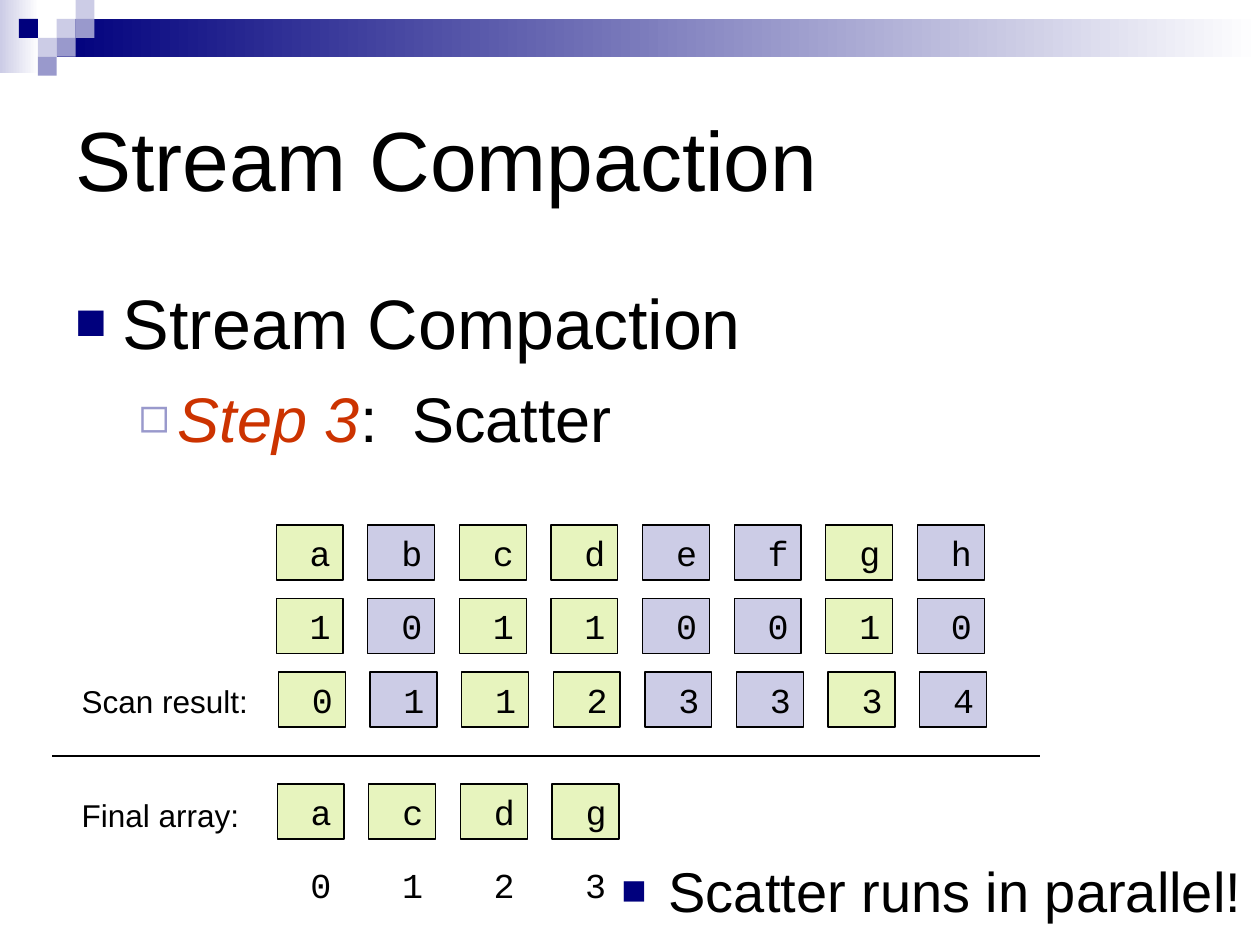
from dataclasses import dataclass

from lxml import etree
from pptx import Presentation
from pptx.dml.color import RGBColor
from pptx.enum import shapes, text
from pptx.oxml import ns
from pptx.util import Pt


@dataclass(frozen=True)
class Theme:
    navy: str = "00007D"
    mid: str = "9999CC"
    pale: str = "CCCCE6"
    kept: str = "E7F4BE"
    accent: str = "CC3300"
    ink: str = "000000"
    paper: str = "FFFFFF"
    sans: str = "Arial"
    mono: str = "Courier New"
    title: float = 48
    heading: float = 40
    step: float = 36
    note: float = 32
    cell: float = 20
    label: float = 18
    hairline: float = 0.75


THEME = Theme()
COLUMN_PITCH = 52.35
CELL_WIDTH, CELL_HEIGHT = 38.25, 31.5
PIXEL = 10.8


def rgb(value):
    return RGBColor.from_string(value)


def style(span, size, font=THEME.sans, color=THEME.ink, italic=False):
    span.font.size = Pt(size)
    span.font.name = font
    span.font.color.rgb = rgb(color)
    span.font.italic = italic


def place(box, left, top, width, height):
    box.left, box.top, box.width, box.height = map(Pt, (left, top, width, height))


def add_bullet(para, symbol, color, percent, margin, hanging):
    props = para._p.get_or_add_pPr()
    props.set("marL", str(Pt(margin)))
    props.set("indent", str(-Pt(hanging)))
    tint = etree.SubElement(props, ns.qn("a:buClr"))
    etree.SubElement(tint, ns.qn("a:srgbClr"), val=color)
    etree.SubElement(props, ns.qn("a:buSzPct"), val=str(percent * 1000))
    etree.SubElement(props, ns.qn("a:buFont"), typeface=THEME.sans)
    etree.SubElement(props, ns.qn("a:buChar"), char=symbol)


def add_square_bullet(para, space_before):
    para.space_before = Pt(space_before)
    add_bullet(para, "■", THEME.navy, 75, 27, 27)


def add_block(page, left, top, width, height):
    """Add a rectangle without line or shadow; the caller fills it."""
    block = page.shapes.add_shape(
        shapes.MSO_SHAPE.RECTANGLE, Pt(left), Pt(top), Pt(width), Pt(height))
    block.shadow.inherit = False
    block.line.fill.background()
    return block


def add_gradient(page, start, *bounds):
    """Add a bar that fades from the start colour to the paper colour."""
    fill = add_block(page, *bounds).fill
    fill.gradient()
    fill.gradient_angle = 0
    for stop, color in zip(fill.gradient_stops, (start, THEME.paper)):
        stop.color.rgb = rgb(color)


def add_pixel_header(page):
    add_gradient(page, THEME.pale, 0, 0, 22.3, 41.8)
    add_gradient(page, THEME.navy, 32.4, PIXEL, 687.6, 21.6)
    pixels = {
        THEME.pale: [(3, 1), (4, 0), (2, 2)],
        THEME.mid: [(4, 1), (3, 2), (2, 3)],
        THEME.navy: [(1, 1)],
    }
    for color, spots in pixels.items():
        for column, row in spots:
            pixel = add_block(page, column * PIXEL, row * PIXEL, PIXEL, PIXEL)
            pixel.fill.solid()
            pixel.fill.fore_color.rgb = rgb(color)


def add_title(page, wording):
    title = page.shapes.title
    place(title, 36, 36, 648, 108)
    frame = title.text_frame
    frame.text = wording
    frame.auto_size = text.MSO_AUTO_SIZE.NONE
    frame.vertical_anchor = text.MSO_ANCHOR.MIDDLE
    para = frame.paragraphs[0]
    para.alignment = text.PP_ALIGN.LEFT
    style(para.runs[0], THEME.title)


def add_outline(page):
    body = page.placeholders[1]
    place(body, 36, 156, 672, 126)
    frame = body.text_frame
    frame.auto_size = text.MSO_AUTO_SIZE.NONE
    frame.text = "Stream Compaction"
    heading = frame.paragraphs[0]
    add_square_bullet(heading, 10)
    style(heading.runs[0], THEME.heading)

    step = frame.add_paragraph()
    step.level = 1
    step.space_before = Pt(9)
    add_bullet(step, "◻", THEME.mid, 80, 58.5, 22.5)
    for wording, color, italic in (("Step 3", THEME.accent, True),
                                   (":  Scatter", THEME.ink, False)):
        span = step.add_run()
        span.text = wording
        style(span, THEME.step, color=color, italic=italic)


def add_text(page, wording, size, left, top, width, height, wrap=True):
    box = page.shapes.add_textbox(Pt(left), Pt(top), Pt(width), Pt(height))
    box.text_frame.word_wrap = wrap
    para = box.text_frame.paragraphs[0]
    para.text = wording
    style(para.runs[0], size)
    return para


def add_cells(page, values, left, top, fills):
    """Add a row of array cells, each filled with its own colour."""
    for index, (value, color) in enumerate(zip(values, fills)):
        cell = add_block(page, left + index * COLUMN_PITCH, top,
                         CELL_WIDTH, CELL_HEIGHT)
        cell.fill.solid()
        cell.fill.fore_color.rgb = rgb(color)
        cell.line.color.rgb = rgb(THEME.ink)
        cell.line.width = Pt(THEME.hairline)
        frame = cell.text_frame
        frame.text = value
        frame.vertical_anchor = text.MSO_ANCHOR.TOP
        para = frame.paragraphs[0]
        para.alignment = text.PP_ALIGN.RIGHT
        style(para.runs[0], THEME.cell, THEME.mono)


def add_indices(page, count, left, top):
    for index in range(count):
        para = add_text(page, str(index), THEME.cell, left + index * COLUMN_PITCH,
                        top, CELL_WIDTH, CELL_HEIGHT)
        para.alignment = text.PP_ALIGN.RIGHT
        style(para.runs[0], THEME.cell, THEME.mono)


def add_divider(page, left, right, top):
    line = page.shapes.add_connector(
        shapes.MSO_CONNECTOR.STRAIGHT, Pt(left), Pt(top), Pt(right), Pt(top))
    line.line.color.rgb = rgb(THEME.ink)
    line.line.width = Pt(THEME.hairline)
    etree.SubElement(line._element.spPr, ns.qn("a:effectLst"))


def main():
    deck = Presentation()
    deck.slide_width, deck.slide_height = Pt(720), Pt(540)
    page = deck.slides.add_slide(deck.slide_layouts[1])
    add_pixel_header(page)
    add_title(page, "Stream Compaction")
    add_outline(page)

    elements, flags = "abcdefgh", "10110010"
    fills = [THEME.kept if flag == "1" else THEME.pale for flag in flags]
    add_cells(page, elements, 157.8, 300, fills)
    add_cells(page, flags, 157.8, 342, fills)
    add_cells(page, "01123334", 159.1, 384, fills)
    add_text(page, "Scan result:", THEME.label, 39.6, 386, 109.4, 29, wrap=False)

    add_divider(page, 30, 594, 432)
    compacted = [item for item, flag in zip(elements, flags) if flag == "1"]
    add_cells(page, compacted, 158.4, 448, [THEME.kept] * len(compacted))
    add_text(page, "Final array:", THEME.label, 39.6, 451.4, 104.4, 29, wrap=False)
    add_indices(page, len(compacted), 158.2, 490)
    remark = add_text(page, "Scatter runs in parallel!", THEME.note, 348, 486, 372, 54)
    add_square_bullet(remark, 8)
    deck.save("out.pptx")


if __name__ == "__main__":
    main()
